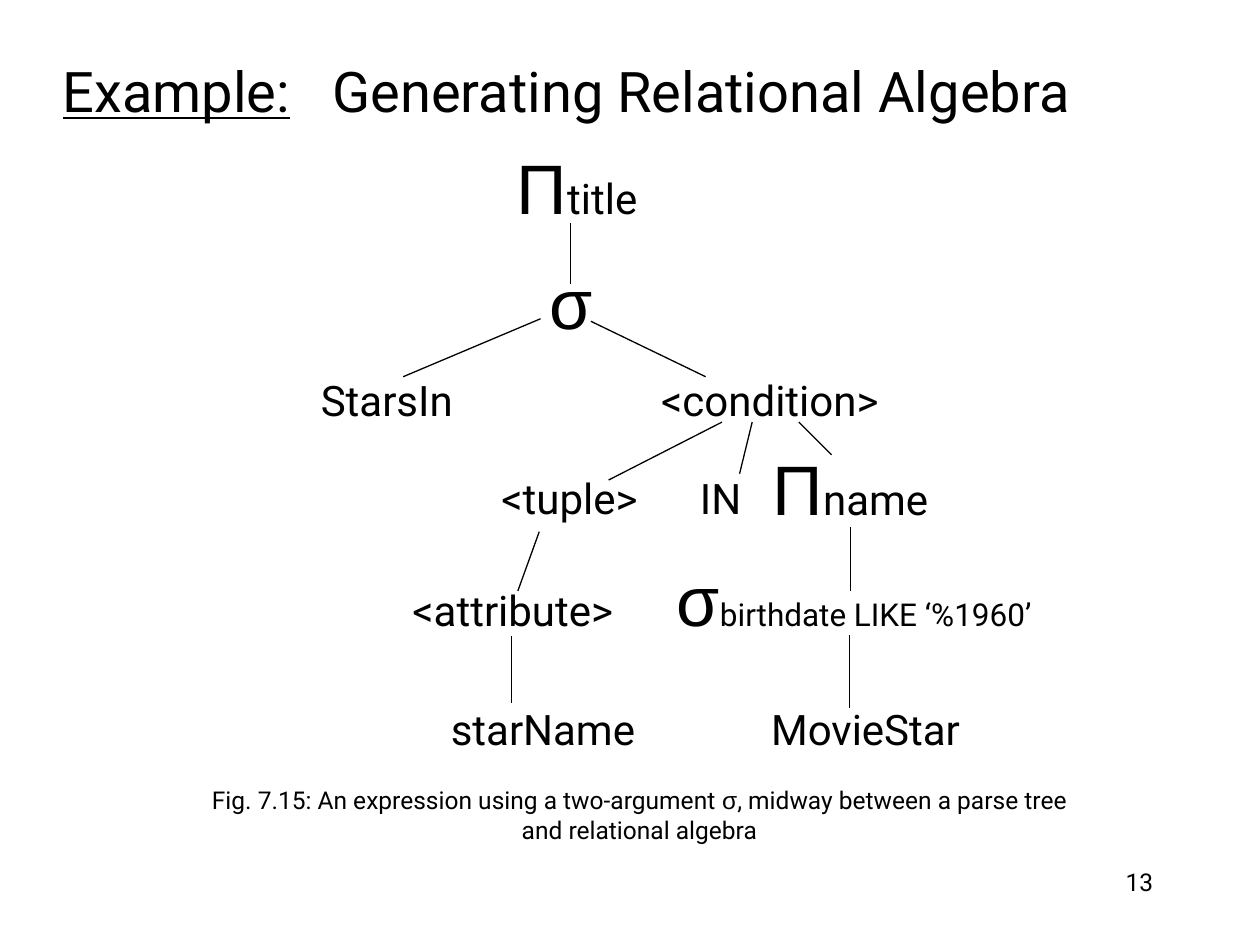
from dataclasses import dataclass

from lxml import etree
from pptx import Presentation
from pptx import util as u
from pptx.dml.color import RGBColor
from pptx.enum import shapes, text
from pptx.oxml import ns


@dataclass(frozen=True)
class Theme:
    ink: RGBColor = RGBColor(0, 0, 0)
    font: str = "Roboto"
    greek: str = "Arial"
    head: int = 32
    sign: int = 40
    node: int = 24
    cond: int = 18
    note: int = 14
    line: float = 0.75


THEME = Theme()
MID, LEFT, RIGHT = text.PP_ALIGN.CENTER, text.PP_ALIGN.LEFT, text.PP_ALIGN.RIGHT

# Tree nodes: centre x, centre y, width, operator sign, label, label size
NODES = [
    (4.58, 1.48, 1.3, "Π", "title", THEME.node),
    (4.53, 2.39, 0.6, "σ", "", THEME.node),
    (3.07, 3.17, 1.35, "", "StarsIn", THEME.node),
    (6.11, 3.17, 2.0, "", "<condition>", THEME.node),
    (4.52, 3.95, 1.4, "", "<tuple>", THEME.node),
    (5.72, 3.95, 0.6, "", "IN", THEME.node),
    (6.75, 3.87, 1.6, "Π", "name", THEME.node),
    (4.07, 4.84, 1.9, "", "<attribute>", THEME.node),
    (6.78, 4.75, 3.1, "σ", "birthdate LIKE ‘%1960’", THEME.cond),
    (4.31, 5.78, 1.8, "", "starName", THEME.node),
    (6.87, 5.78, 1.8, "", "MovieStar", THEME.node),
]

# Branches: start x, y, end x, y
EDGES = [
    (4.53, 1.77, 4.53, 2.25),
    (4.29, 2.53, 3.2, 2.99),
    (4.69, 2.55, 5.6, 2.99),
    (5.73, 3.35, 4.83, 3.81),
    (5.97, 3.35, 5.87, 3.76),
    (6.34, 3.35, 6.6, 3.61),
    (4.28, 4.22, 4.11, 4.69),
    (4.06, 5.05, 4.06, 5.58),
    (6.75, 4.18, 6.75, 4.69),
    (6.74, 5.04, 6.74, 5.62),
]


def add_text(slide, area, parts, align, wrap=True, anchor=text.MSO_ANCHOR.MIDDLE):
    """Place one paragraph made of (words, size, font) parts."""
    box = slide.shapes.add_textbox(*map(u.Inches, area))
    frame = box.text_frame
    frame.word_wrap = wrap
    frame.vertical_anchor = anchor
    para = frame.paragraphs[0]
    para.alignment = align
    for words, size, font in parts:
        run = para.add_run()
        run.text = words
        run.font.size = u.Pt(size)
        run.font.name = font
        run.font.color.rgb = THEME.ink
    return para


def add_title(slide):
    parts = [("Example:", THEME.head, THEME.font),
             ("\tGenerating Relational Algebra", THEME.head, THEME.font)]
    para = add_text(slide, (0.4, 0.23, 9.16, 0.97), parts, LEFT)
    para.runs[0].font.underline = True
    # Tab stop between the two halves of the title
    props = para._p.get_or_add_pPr()
    tabs = etree.SubElement(props, ns.qn("a:tabLst"))
    etree.SubElement(tabs, ns.qn("a:tab"), pos=str(u.Inches(2.14)), algn="l")


def add_node(slide, x, y, width, sign, label, size):
    height = 0.77 if sign else 0.5
    parts = [(sign, THEME.sign, THEME.greek), (label, size, THEME.font)]
    area = (x - width / 2, y - height / 2, width, height)
    add_text(slide, area, [part for part in parts if part[0]], MID, wrap=False)


def add_edge(slide, *ends):
    line = slide.shapes.add_connector(
        shapes.MSO_CONNECTOR.STRAIGHT, *map(u.Inches, ends))
    line.line.color.rgb = THEME.ink
    line.line.width = u.Pt(THEME.line)
    etree.SubElement(line._element.spPr, ns.qn("a:effectLst"))


def main():
    deck = Presentation()
    deck.slide_width, deck.slide_height = u.Inches(10), u.Inches(7.5)
    slide = deck.slides.add_slide(deck.slide_layouts[6])

    add_title(slide)

    # Expression tree
    for node in NODES:
        add_node(slide, *node)
    for edge in EDGES:
        add_edge(slide, *edge)

    # Caption and page number
    caption = [
        ("Fig. 7.15: An expression using a two-argument ", THEME.note, THEME.font),
        ("σ", THEME.note, THEME.greek),
        (", midway between a parse tree and relational algebra", THEME.note, THEME.font),
    ]
    add_text(slide, (1.47, 6.18, 7.21, 0.57), caption, MID)
    add_text(slide, (7.17, 6.83, 2.08, 0.5), [("13", THEME.note, THEME.font)],
             RIGHT, anchor=text.MSO_ANCHOR.TOP)

    deck.save("out.pptx")


if __name__ == "__main__":
    main()
